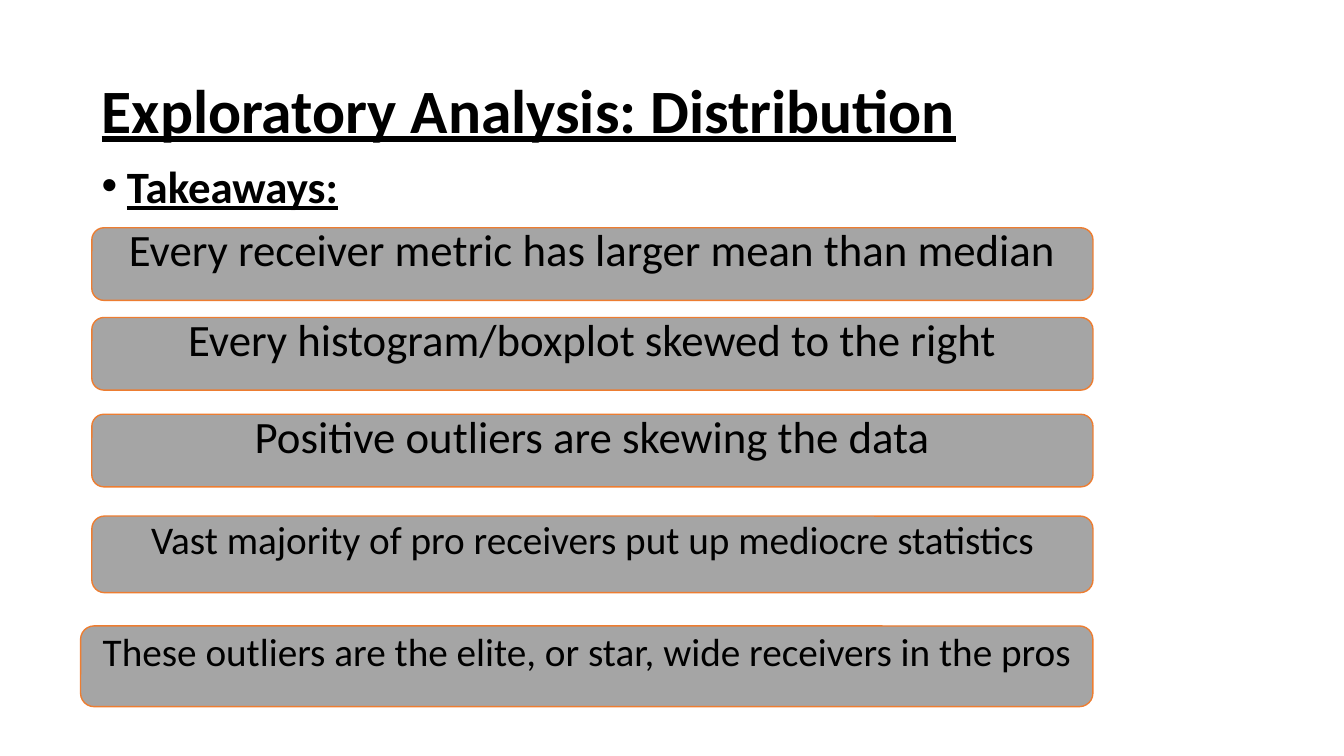
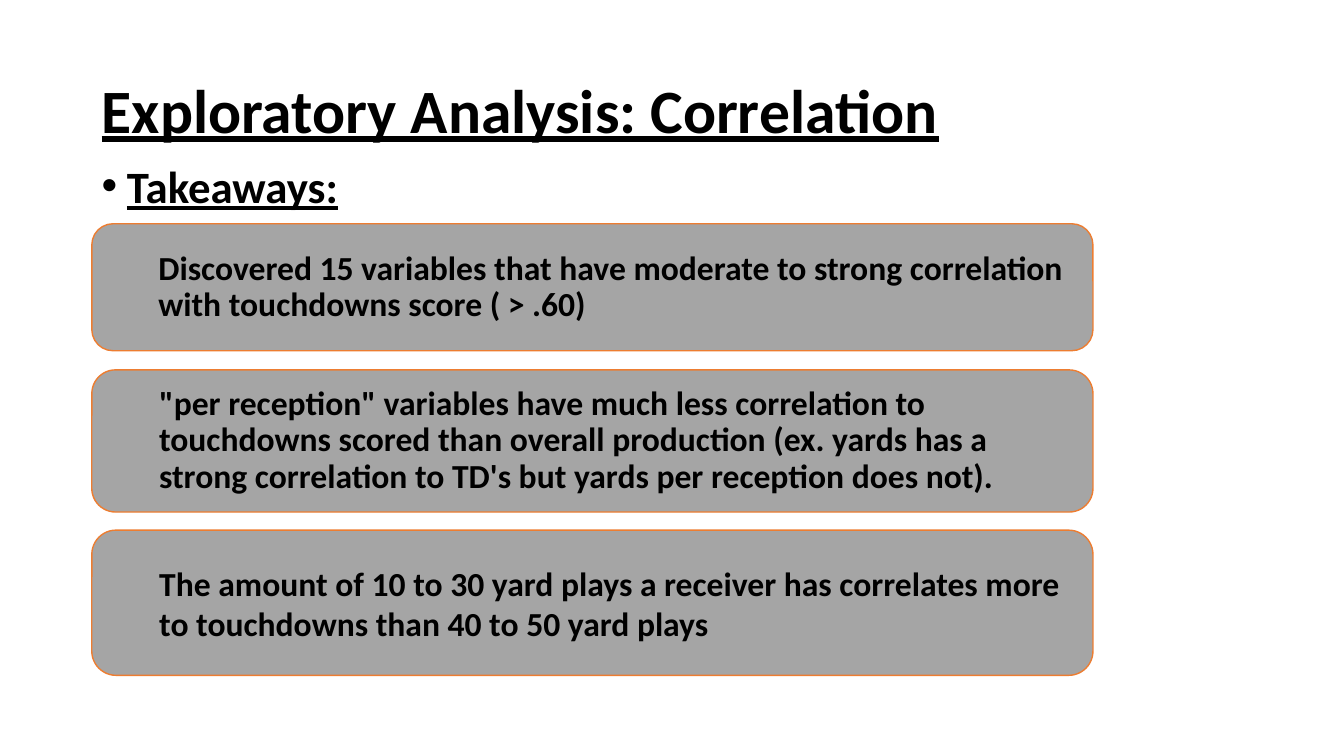
from dataclasses import dataclass

from lxml.etree import SubElement
from pptx import Presentation
from pptx.dml.color import RGBColor
from pptx.enum.shapes import MSO_SHAPE as Shape
from pptx.enum.text import MSO_ANCHOR as Anchor, PP_ALIGN as Align
from pptx.oxml.ns import qn
from pptx.util import Inches, Pt

SLIDE_WIDTH, SLIDE_HEIGHT = Inches(13.33), Inches(7.5)


@dataclass(frozen=True)
class Theme:
    font: str = "Calibri"
    ink: RGBColor = RGBColor(0x00, 0x00, 0x00)
    panel: RGBColor = RGBColor(0xA5, 0xA5, 0xA5)
    outline: RGBColor = RGBColor(0xED, 0x7D, 0x31)
    outline_width: int = Pt(1)
    title: int = Pt(44)
    heading: int = Pt(32)
    finding: int = Pt(28)
    detail: int = Pt(24)


THEME = Theme()

# Shares of the slide, in percent
LEFT, PANEL_WIDTH = 6.83, 74.49
WIDE_LEFT = 6.0
TITLE_BOX = (LEFT, 5.33, 86.27, 19.33)
HEADING_BOX = (LEFT, 21.73, 28.66, 7.2)

# Top, height, type size, text
DISTRIBUTION = [
    (30.13, 9.6, THEME.heading, "Every receiver metric has larger mean than median"),
    (42.0, 9.6, THEME.heading, "Every histogram/boxplot skewed to the right"),
    (54.8, 9.6, THEME.heading, "Positive outliers are skewing the data"),
    (68.27, 10.13, THEME.finding,
     "Vast majority of pro receivers put up mediocre statistics"),
]
STAR_FINDING = (82.8, 10.67, THEME.finding,
                "These outliers are the elite, or star, wide receivers in the pros")

# Top, height, paragraph spacing, text
TIGHT = {"line_spacing": 0.9, "space_before": Pt(5)}
CORRELATION = [
    (29.6, 16.8, TIGHT,
     "Discovered 15 variables that have moderate to strong correlation "
     "with touchdowns score ( > .60)"),
    (48.93, 18.8, TIGHT,
     '"per reception" variables have much less correlation to touchdowns '
     "scored than overall production (ex. yards has a strong correlation "
     "to TD's but yards per reception does not)."),
    (70.13, 19.2, {},
     "The amount of 10 to 30 yard plays a receiver has correlates more "
     "to touchdowns than 40 to 50 yard plays"),
]


def apply(target, formats):
    for name, value in formats.items():
        setattr(target, name, value)


def place(left, top, width, height):
    """Turn percent shares of the slide into lengths."""
    return (int(SLIDE_WIDTH * left / 100), int(SLIDE_HEIGHT * top / 100),
            int(SLIDE_WIDTH * width / 100), int(SLIDE_HEIGHT * height / 100))


def write(shape, text, size, frame=None, paragraph_format=None, **font):
    """Fill a shape with one paragraph and return that paragraph."""
    apply(shape.text_frame, {"word_wrap": True, **(frame or {})})
    paragraph = shape.text_frame.paragraphs[0]
    apply(paragraph, {"alignment": Align.LEFT, **(paragraph_format or {})})
    run = paragraph.add_run()
    run.text = text
    apply(run.font, {"name": THEME.font, "size": size, **font})
    run.font.color.rgb = THEME.ink
    return paragraph


def indent(paragraph, margin, first_line=0):
    properties = paragraph._p.get_or_add_pPr()
    properties.set("marL", str(int(margin)))
    properties.set("indent", str(int(first_line)))
    return properties


def add_header(slide, title):
    strong = {"bold": True, "underline": True}
    title_box = slide.shapes.add_textbox(*place(*TITLE_BOX))
    write(title_box, title, THEME.title, {"vertical_anchor": Anchor.MIDDLE},
          {"line_spacing": 0.9}, **strong)
    heading_box = slide.shapes.add_textbox(*place(*HEADING_BOX))
    heading = write(heading_box, "Takeaways:", THEME.heading, None,
                    {"line_spacing": 0.8, "space_before": Pt(10)}, **strong)
    properties = indent(heading, Inches(0.25), -Inches(0.25))
    SubElement(properties, qn("a:buFont"), typeface="Arial")
    SubElement(properties, qn("a:buChar"), char="•")


def add_panel(slide, top, height, left=LEFT):
    width = LEFT + PANEL_WIDTH - left
    panel = slide.shapes.add_shape(Shape.ROUNDED_RECTANGLE,
                                   *place(left, top, width, height))
    panel.shadow.inherit = False
    panel.fill.solid()
    panel.fill.fore_color.rgb = THEME.panel
    panel.line.color.rgb = THEME.outline
    panel.line.width = THEME.outline_width
    return panel


def add_finding(slide, top, height, size, text, left=LEFT):
    """Centred one-line panel; the lower inset lifts its text."""
    write(add_panel(slide, top, height, left), text, size,
          {"vertical_anchor": Anchor.MIDDLE, "margin_top": 0,
           "margin_bottom": Inches(0.3)},
          {"alignment": Align.CENTER})


def add_detail(slide, top, height, spacing, text):
    paragraph = write(add_panel(slide, top, height), text, THEME.detail,
                      {"vertical_anchor": Anchor.MIDDLE},
                      {"level": 1, **spacing}, bold=True)
    indent(paragraph, Inches(0.5))


def add_slide(presentation, title):
    slide = presentation.slides.add_slide(presentation.slide_layouts[6])
    add_header(slide, title)
    return slide


def main():
    presentation = Presentation()
    apply(presentation, {"slide_width": SLIDE_WIDTH, "slide_height": SLIDE_HEIGHT})

    distribution = add_slide(presentation, "Exploratory Analysis: Distribution")
    for finding in DISTRIBUTION:
        add_finding(distribution, *finding)
    add_finding(distribution, *STAR_FINDING, left=WIDE_LEFT)

    correlation = add_slide(presentation, "Exploratory Analysis: Correlation")
    for detail in CORRELATION:
        add_detail(correlation, *detail)

    presentation.save("out.pptx")


if __name__ == "__main__":
    main()
